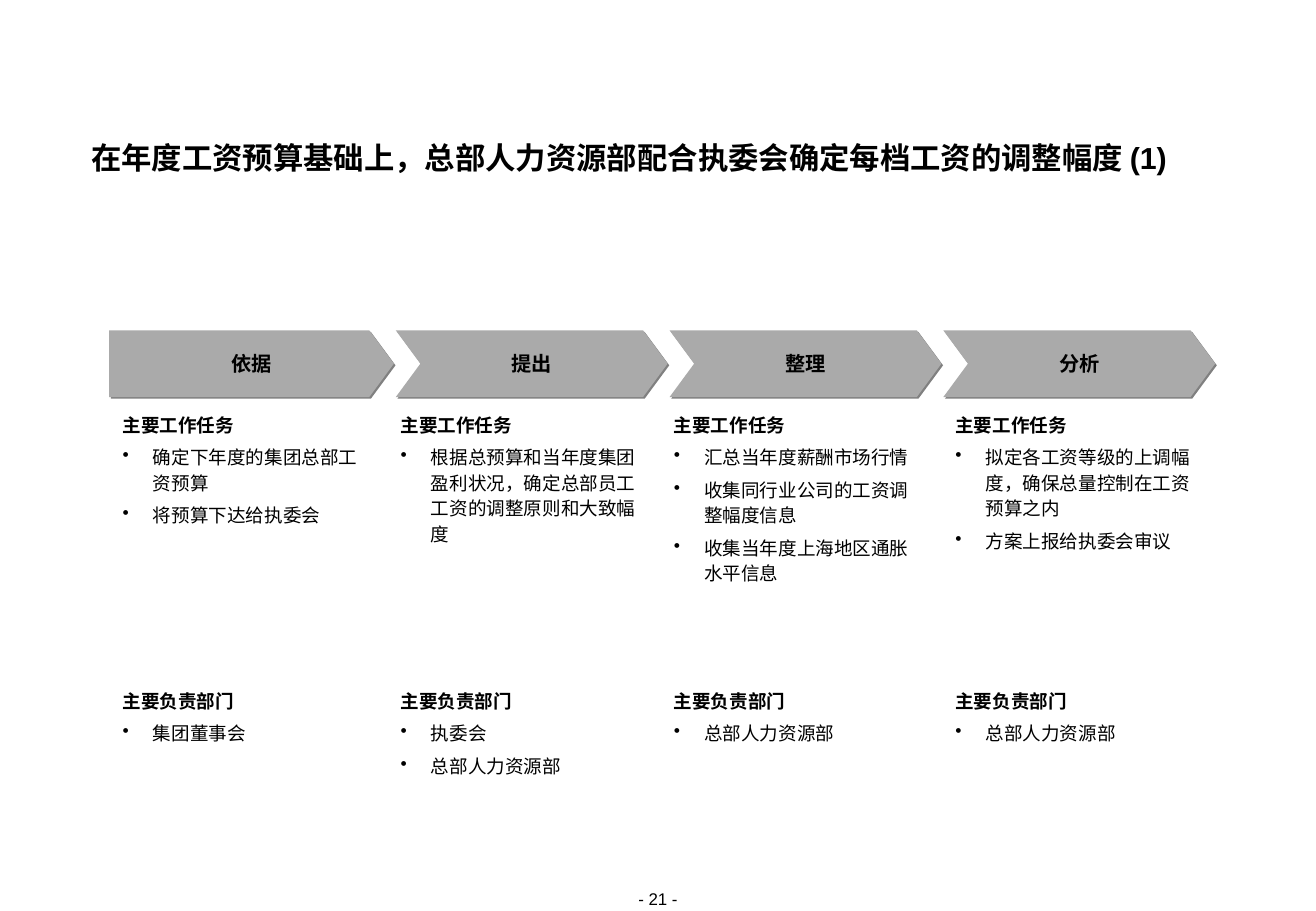
from pptx import Presentation
from pptx.dml.color import RGBColor
from pptx.enum import text as t
from pptx.oxml import ns, parse_xml
from pptx.util import Pt

FONT = "Arial"
COLORS = {"ink": "000000", "arrow": "AAAAAA", "shadow": "808080"}
TASKS, OWNERS = "主要工作任务", "主要负责部门"

# Each step: name, left edge of its text, tasks, departments in charge
STEPS = [
    ("依据", 72.7, ["确定下年度的集团总部工资预算", "将预算下达给执委会"],
     ["集团董事会"]),
    ("提出", 237.6, ["根据总预算和当年度集团盈利状况，确定总部员工工资的调整原则和大致幅度"],
     ["执委会", "总部人力资源部"]),
    ("整理", 399.6, ["汇总当年度薪酬市场行情", "收集同行业公司的工资调整幅度信息",
                   "收集当年度上海地区通胀水平信息"],
     ["总部人力资源部"]),
    ("分析", 566.6, ["拟定各工资等级的上调幅度，确保总量控制在工资预算之内", "方案上报给执委会审议"],
     ["总部人力资源部"]),
]


def color(name):
    return RGBColor.from_string(COLORS[name])


def clear_margins(frame):
    frame.margin_left = frame.margin_right = 0
    frame.margin_top = frame.margin_bottom = 0


def add_text(paragraph, words, size, bold=False):
    run = paragraph.add_run()
    run.text = words
    run.font.name = FONT
    run.font.size = Pt(size)
    run.font.bold = bold
    run.font.color.rgb = color("ink")


def add_frame(slide, left, top, width, height):
    box = slide.shapes.add_textbox(Pt(left), Pt(top), Pt(width), Pt(height))
    frame = box.text_frame
    frame.word_wrap = True
    clear_margins(frame)
    return frame


def add_title(slide, left, top, width, height):
    paragraph = add_frame(slide, left, top, width, height).paragraphs[0]
    paragraph.line_spacing = Pt(20)
    add_text(paragraph, "在年度工资预算基础上，总部人力资源部配合执委会确定每档工资的调整幅度 (1)",
             18, True)


def add_page_number(slide, left, top, width, height):
    paragraph = add_frame(slide, left, top, width, height).paragraphs[0]
    paragraph.alignment = t.PP_ALIGN.CENTER
    add_text(paragraph, "- 21 -", 10)


def add_shadow(shape):
    shape.shadow.inherit = False
    effects = shape._element.spPr.find(ns.qn("a:effectLst"))
    effects.append(parse_xml(
        f'<a:outerShdw {ns.nsdecls("a")} dist="17780" dir="2700000" algn="ctr" '
        f'rotWithShape="0"><a:srgbClr val="{COLORS["shadow"]}"/></a:outerShdw>'))


def add_arrow(slide, name, left, top, width, height, notched):
    point = 14.6
    right, middle, bottom = left + width, top + height / 2, top + height
    corners = [(right - point, top), (right, middle), (right - point, bottom),
               (left, bottom)]
    if notched:
        corners.append((left + point, middle))
    builder = slide.shapes.build_freeform(Pt(left), Pt(top))
    builder.add_line_segments([(Pt(x), Pt(y)) for x, y in corners], close=True)
    shape = builder.convert_to_shape()
    shape.fill.solid()
    shape.fill.fore_color.rgb = color("arrow")
    shape.line.fill.background()
    add_shadow(shape)

    frame = shape.text_frame
    frame.word_wrap = False
    frame.vertical_anchor = t.MSO_ANCHOR.MIDDLE
    clear_margins(frame)
    paragraph = frame.paragraphs[0]
    paragraph.alignment = t.PP_ALIGN.CENTER
    paragraph.line_spacing = Pt(14)
    add_text(paragraph, name, 12, True)


def add_bullet(paragraph):
    properties = paragraph._p.get_or_add_pPr()
    properties.set("marL", str(Pt(18)))
    properties.set("indent", str(-Pt(18)))
    properties.append(parse_xml(
        f'<a:buClr {ns.nsdecls("a")}><a:srgbClr val="{COLORS["ink"]}"/></a:buClr>'))
    properties.append(parse_xml(f'<a:buChar {ns.nsdecls("a")} char="•"/>'))


def add_list(slide, heading, items, left, top, width, height):
    frame = add_frame(slide, left, top, width, height)
    paragraph = frame.paragraphs[0]
    paragraph.line_spacing = 1.15
    add_text(paragraph, heading, 11, True)
    for item in items:
        paragraph = frame.add_paragraph()
        paragraph.line_spacing = 1.15
        paragraph.space_before = Pt(4.1)
        add_bullet(paragraph)
        add_text(paragraph, item, 11)


def add_process(slide, left, top, width, height):
    """Arrows share a pitch, counted from the right; the first fills the rest."""
    pitch, gap, list_width = 162.36, 1.1, 149.8
    for index, (name, text_left, tasks, owners) in enumerate(STEPS):
        right = left + width - pitch * (len(STEPS) - 1 - index)
        start = left if index == 0 else right - pitch + gap
        add_arrow(slide, name, start, top, right - start, 39.6, index > 0)
        add_list(slide, TASKS, tasks, text_left, top + 47.5, list_width, 104)
        add_list(slide, OWNERS, owners, text_left, top + height - 54, list_width, 54)


def main():
    presentation = Presentation()
    presentation.slide_width = Pt(780.48)
    presentation.slide_height = Pt(540)
    slide = presentation.slides.add_slide(presentation.slide_layouts[6])

    # Headline
    add_title(slide, 54, 84.2, 671.8, 20.2)
    # Process steps with tasks and departments
    add_process(slide, 64.8, 195.8, 655.9, 265)
    # Footer
    add_page_number(slide, 349.2, 527, 82.1, 12.2)

    presentation.save("out.pptx")


if __name__ == "__main__":
    main()
